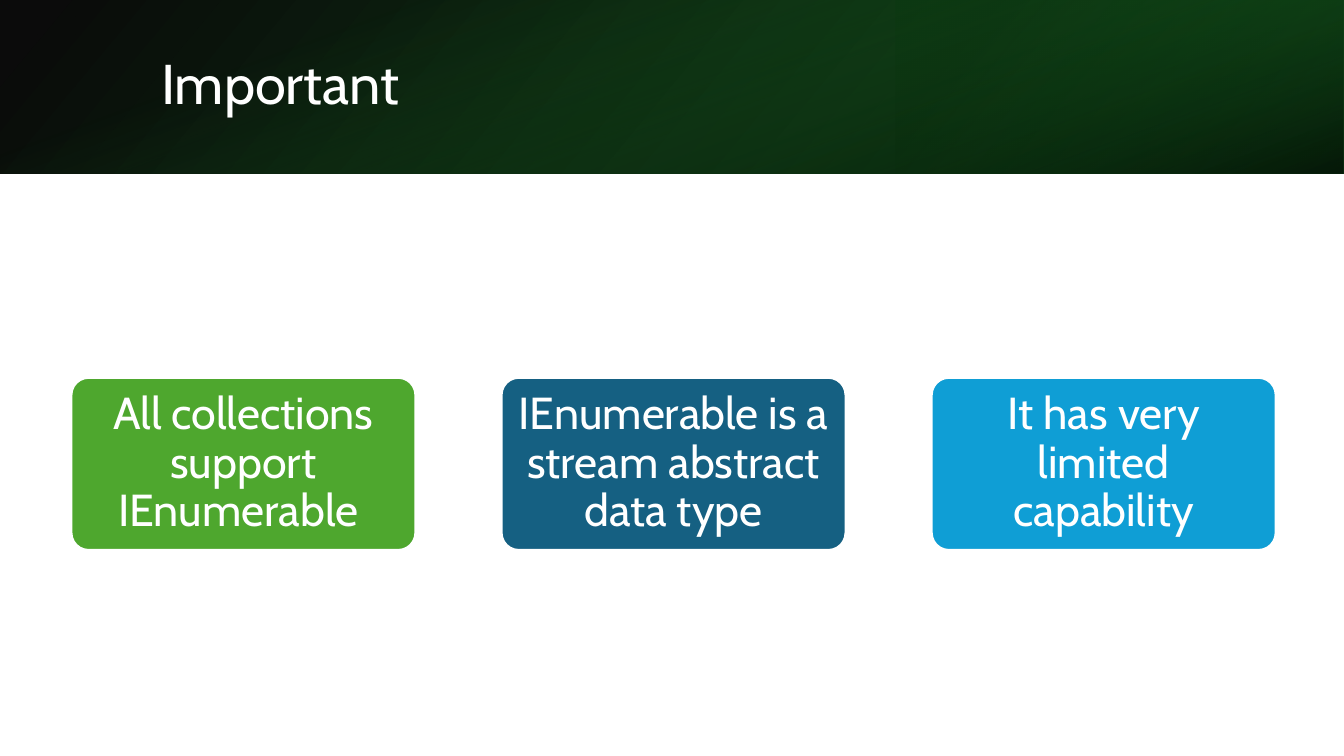
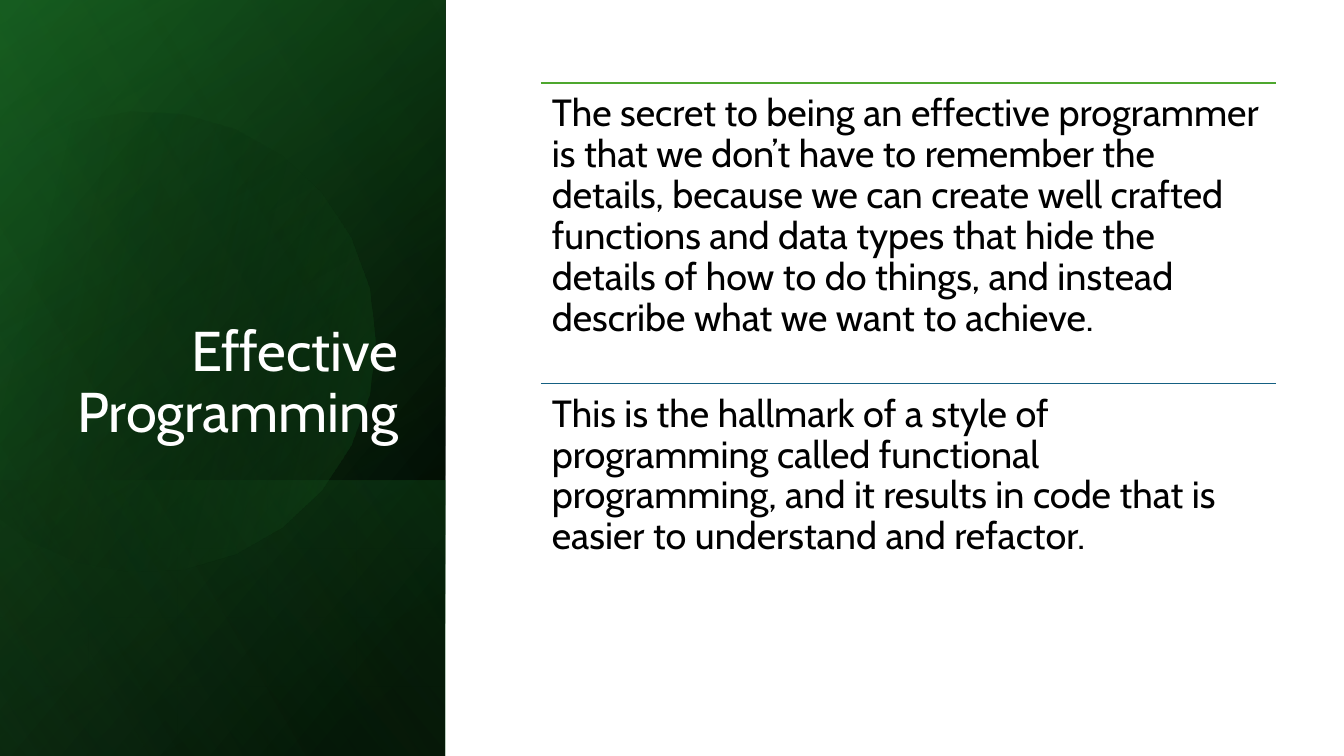
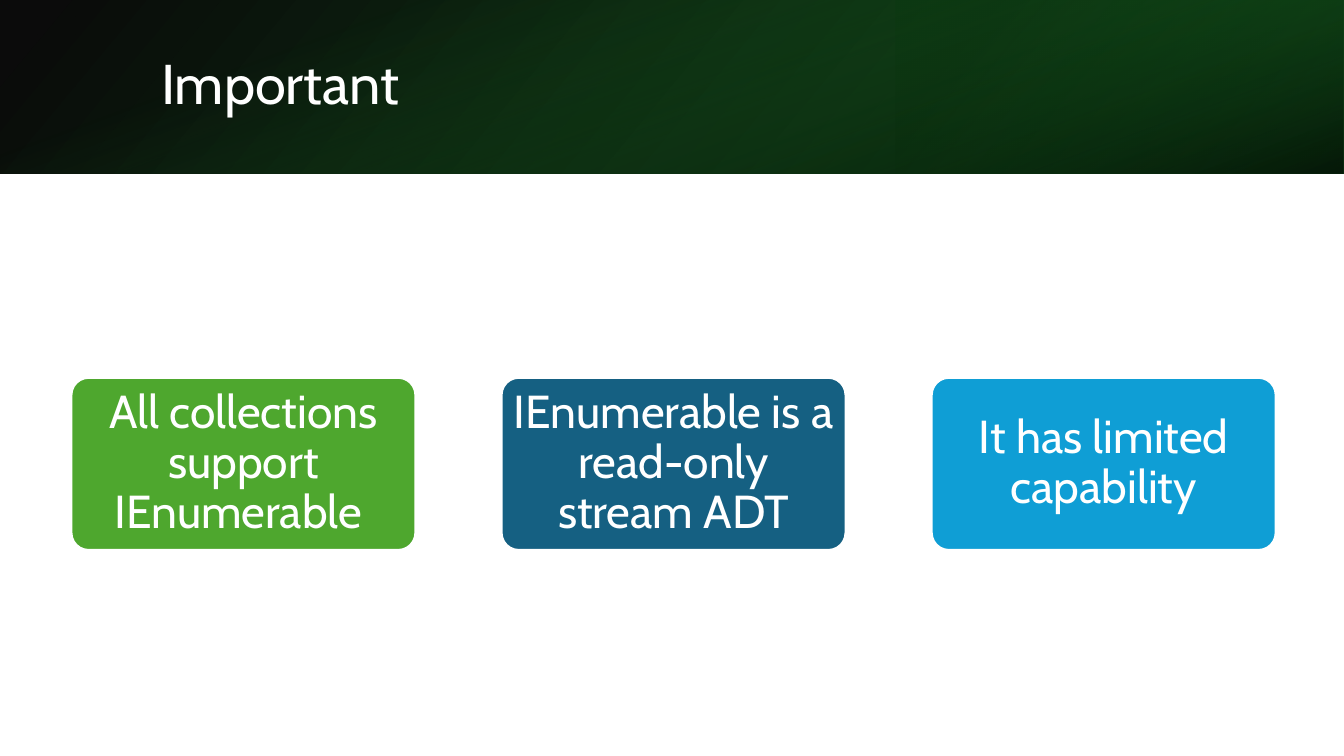
import math
from dataclasses import dataclass

from lxml import etree
from pptx import Presentation
from pptx.dml.color import RGBColor
from pptx.enum import shapes, text
from pptx.oxml import ns
from pptx.util import Cm, Pt


@dataclass(frozen=True)
class Theme:
    font: str = "Cabin"
    white: str = "FFFFFF"
    black: str = "000000"
    pine: str = "0D3612"
    forest: str = "13501B"
    green: str = "196B24"
    mint: str = "47D45A"
    accents: tuple = ("4EA72E", "156082", "0F9ED5")
    title_size: int = 40
    body_size: int = 27
    line_spacing: float = 0.9
    card_line: float = 1.5
    rule_line: float = 1


THEME = Theme()
WIDTH, HEIGHT = 33.87, 19.05
BAND = 4.37
SIDE = 11.22
FOOT = 6.95

BAND_PANELS = [
    dict(region=(0, 0, WIDTH, BAND), flip=True, angle=140,
         stops=[(0, THEME.black, 96), (100, THEME.forest, 100)]),
    dict(region=(WIDTH * 2 / 3, 0, WIDTH / 3, BAND), turn=180, flip=True, angle=320,
         stops=[(19, THEME.pine, 68), (100, THEME.green, 79)]),
    dict(region=(0, 0, WIDTH, BAND), turn=90, angle=340,
         stops=[(23, THEME.green, 0), (99, THEME.black, 74)]),
]
SIDE_REGION = (0, 0, SIDE, HEIGHT)
SIDE_PANELS = [
    dict(region=SIDE_REGION, turn=90, flip=True, angle=50,
         stops=[(8, THEME.black, 100), (100, THEME.forest, 100)]),
    dict(region=SIDE_REGION, turn=90, flip=True, angle=30,
         stops=[(0, THEME.black, 0), (99, THEME.green, 46)]),
    dict(region=(0, HEIGHT - FOOT, SIDE, FOOT), turn=90, flip=True, angle=130,
         stops=[(2, THEME.green, 29), (100, THEME.black, 30)]),
]
SIDE_GLOW = dict(region=SIDE_REGION, turn=90, flip=True, angle=120,
                 stops=[(0, THEME.black, 0), (99, THEME.mint, 11)])
DISC = dict(centre=(3.65, 8.5), radius=5.8, arc=(-118, 150), sides=20, turn=343.9,
            angle=30, stops=[(29, THEME.black, 0), (100, THEME.green, 43)])

BAND_TITLE = (3.81, 0.95, 27.89, 2.44)
SIDE_TITLE = (1.63, 4.67, 8.66, 6.65)

FIRST_CARDS = ["All collections support IEnumerable ",
               "IEnumerable is a stream abstract data type",
               "It has very limited capability"]
LAST_CARDS = ["All collections support IEnumerable ",
              "IEnumerable is a read-only stream ADT",
              "It has limited capability"]
STATEMENTS = [
    "The secret to being an effective programmer is that we don’t have to remember "
    "the details, because we can create well crafted functions and data types that "
    "hide the details of how to do things, and instead describe what we want to achieve.",
    "This is the hallmark of a style of programming called functional programming, "
    "and it results in code that is easier to understand and refactor.",
]


def color(value):
    return RGBColor.from_string(value)


def place(shape, region):
    shape.left, shape.top, shape.width, shape.height = map(Cm, region)


def write(shape, words, size, ink, align, anchor, margins=None):
    frame = shape.text_frame
    frame.word_wrap = True
    frame.auto_size = text.MSO_AUTO_SIZE.NONE
    frame.vertical_anchor = anchor
    if margins:
        frame.margin_left = frame.margin_right = Cm(margins[0])
        frame.margin_top = frame.margin_bottom = Cm(margins[1])
    paragraph = frame.paragraphs[0]
    paragraph.alignment = align
    paragraph.line_spacing = THEME.line_spacing
    run = paragraph.add_run()
    run.text = words
    run.font.name = THEME.font
    run.font.size = Pt(size)
    run.font.color.rgb = color(ink)


def paint_gradient(shape, stops, angle):
    shape.shadow.inherit = False
    shape.line.fill.background()
    shape.fill.background()
    properties = shape._element.spPr
    gradient = etree.Element(ns.qn("a:gradFill"), rotWithShape="1")
    stop_list = etree.SubElement(gradient, ns.qn("a:gsLst"))
    for position, value, opacity in stops:
        stop = etree.SubElement(stop_list, ns.qn("a:gs"), pos=str(position * 1000))
        tone = etree.SubElement(stop, ns.qn("a:srgbClr"), val=value)
        etree.SubElement(tone, ns.qn("a:alpha"), val=str(opacity * 1000))
    etree.SubElement(gradient, ns.qn("a:lin"), ang=str(angle * 60000), scaled="0")
    properties.replace(properties.find(ns.qn("a:noFill")), gradient)


def add_panel(slide, region, stops, angle, turn=0, flip=False):
    left, top, width, height = region
    if turn == 90:
        left, top = left + (width - height) / 2, top + (height - width) / 2
        width, height = height, width
    shape = slide.shapes.add_shape(shapes.MSO_SHAPE.RECTANGLE,
                                   *map(Cm, (left, top, width, height)))
    shape.rotation = turn
    if flip:
        shape._element.spPr.get_or_add_xfrm().set("flipH", "1")
    paint_gradient(shape, stops, angle)


def add_disc(slide, centre, radius, arc, sides, turn, stops, angle):
    start, end = map(math.radians, arc)
    angles = [start + (end - start) * step / sides for step in range(sides + 1)]
    points = [(Cm(centre[0] + radius * math.cos(bearing)),
               Cm(centre[1] + radius * math.sin(bearing))) for bearing in angles]
    builder = slide.shapes.build_freeform(*points[0])
    builder.add_line_segments(points[1:], close=True)
    shape = builder.convert_to_shape()
    shape.rotation = turn
    paint_gradient(shape, stops, angle)


def add_title(slide, words, region, align, anchor):
    title = slide.shapes.title
    place(title, region)
    write(title, words, THEME.title_size, THEME.white, align, anchor)
    slide.shapes._spTree.append(title._element)


def add_cards(slide, cards, size, margins):
    left, top, width, height, pitch = 1.8, 9.52, 8.67, 4.34, 10.84
    for index, (words, accent) in enumerate(zip(cards, THEME.accents)):
        card = slide.shapes.add_shape(
            shapes.MSO_SHAPE.ROUNDED_RECTANGLE,
            *map(Cm, (left + index * pitch, top, width, height)))
        card.adjustments[0] = 0.1
        card.shadow.inherit = False
        card.fill.solid()
        card.fill.fore_color.rgb = color(accent)
        card.line.color.rgb = color(THEME.white)
        card.line.width = Pt(THEME.card_line)
        write(card, words, size, THEME.white, text.PP_ALIGN.CENTER,
              text.MSO_ANCHOR.MIDDLE, margins)


def add_statements(slide, statements):
    left, width, first_top, pitch = 13.63, 18.53, 2.09, 7.57
    for index, (words, accent) in enumerate(zip(statements, THEME.accents)):
        top = first_top + index * pitch
        rule = slide.shapes.add_connector(shapes.MSO_CONNECTOR.STRAIGHT,
                                          *map(Cm, (left, top, left + width, top)))
        rule.line.color.rgb = color(accent)
        rule.line.width = Pt(THEME.rule_line)
        etree.SubElement(rule._element.spPr, ns.qn("a:effectLst"))
        box = slide.shapes.add_textbox(*map(Cm, (left, top, width, pitch)))
        write(box, words, THEME.body_size, THEME.black, text.PP_ALIGN.LEFT,
              text.MSO_ANCHOR.TOP, (0.28, 0.28))


def add_card_slide(presentation, cards, size, margins):
    slide = presentation.slides.add_slide(presentation.slide_layouts[5])
    for panel in BAND_PANELS:
        add_panel(slide, **panel)
    add_title(slide, "Important", BAND_TITLE, text.PP_ALIGN.LEFT, text.MSO_ANCHOR.MIDDLE)
    add_cards(slide, cards, size, margins)


def add_statement_slide(presentation):
    slide = presentation.slides.add_slide(presentation.slide_layouts[5])
    for panel in SIDE_PANELS:
        add_panel(slide, **panel)
    add_disc(slide, **DISC)
    add_panel(slide, **SIDE_GLOW)
    add_title(slide, "Effective Programming", SIDE_TITLE,
              text.PP_ALIGN.RIGHT, text.MSO_ANCHOR.BOTTOM)
    add_statements(slide, STATEMENTS)


def main():
    presentation = Presentation()
    presentation.slide_width, presentation.slide_height = Cm(WIDTH), Cm(HEIGHT)
    add_card_slide(presentation, FIRST_CARDS, 32, (0.17, 0.11))
    add_statement_slide(presentation)
    add_card_slide(presentation, LAST_CARDS, 33, (0.17, 0.12))
    presentation.save("out.pptx")


if __name__ == "__main__":
    main()
